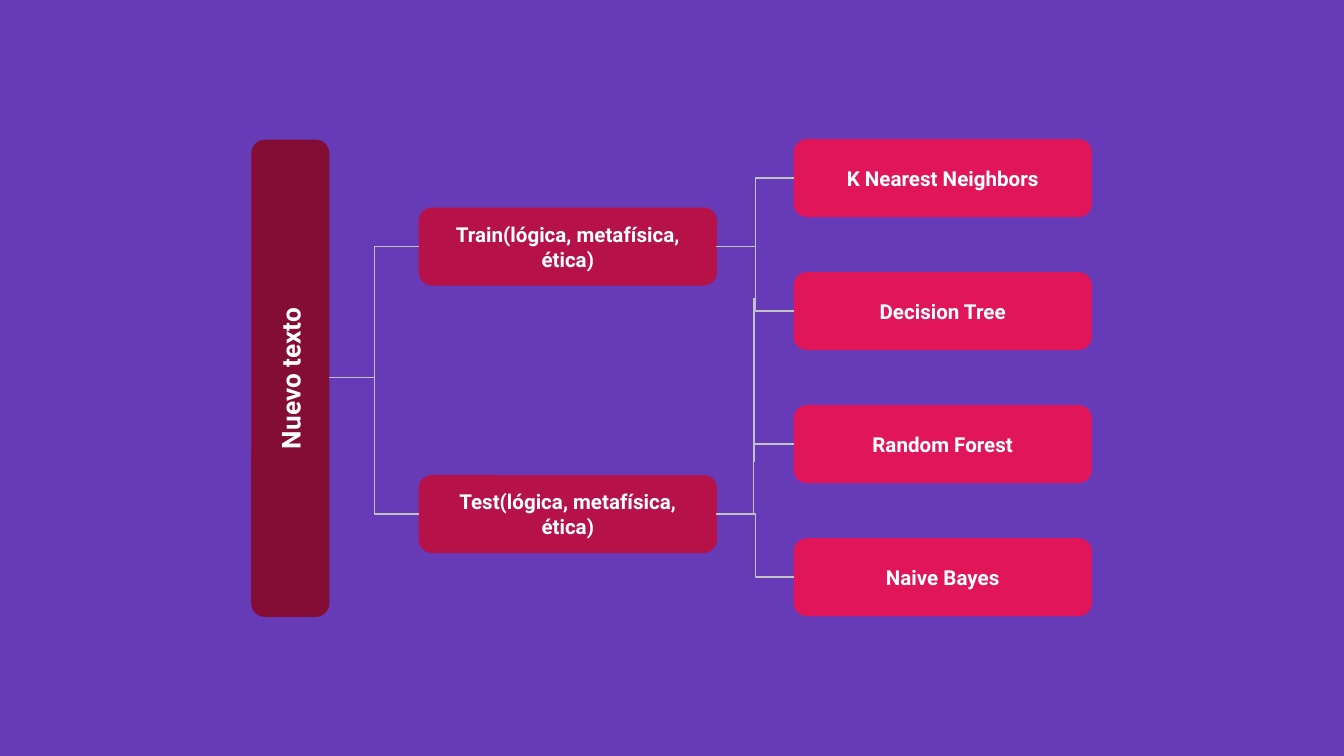
from dataclasses import dataclass

from lxml.etree import SubElement
from pptx import Presentation
from pptx.dml.color import RGBColor
from pptx.enum.shapes import MSO_CONNECTOR, MSO_SHAPE
from pptx.enum.text import MSO_ANCHOR, PP_ALIGN
from pptx.oxml.ns import qn
from pptx.util import Inches, Pt


@dataclass(frozen=True)
class Theme:
    """Colours, font and sizes of the tree."""

    background: str = "673AB7"
    root: str = "840D35"
    branch: str = "B61249"
    leaf: str = "E1165A"
    text: str = "FFFFFF"
    connector: str = "C2C2C2"
    font: str = "Roboto"
    root_size: int = 14
    node_size: int = 11
    line_width: float = 0.75


THEME = Theme()
PAGE_WIDTH = 10
PAGE_HEIGHT = PAGE_WIDTH * 9 / 16
NODE_WIDTH, NODE_HEIGHT = 2.21, 0.57
RIGHT_SIDE, LEFT_SIDE = 3, 1
ROOT_EXIT = (2.45, 2.81)
BRANCH_LEFT, BRANCH_TOP, BRANCH_STEP = 3.12, 1.55, 1.99
LEAF_LEFT, LEAF_TOP, LEAF_STEP = 5.91, 1.04, 0.99
TREE = {
    "Train(lógica, metafísica, ética)": ["K Nearest Neighbors", "Decision Tree"],
    "Test(lógica, metafísica, ética)": ["Random Forest", "Naive Bayes"],
}
LEAF_BENDS = {"Random Forest": 0.48}


def add_node(page, text, left, top, color, width=NODE_WIDTH, size=THEME.node_size):
    """Add a rounded box with bold centred text."""
    box = page.shapes.add_shape(
        MSO_SHAPE.ROUNDED_RECTANGLE,
        Inches(left), Inches(top), Inches(width), Inches(NODE_HEIGHT),
    )
    box.adjustments[0] = 0.167
    box.shadow.inherit = False
    box.fill.solid()
    box.fill.fore_color.rgb = RGBColor.from_string(color)
    box.line.color.rgb = RGBColor.from_string(color)
    box.line.width = Pt(THEME.line_width)
    frame = box.text_frame
    frame.word_wrap = True
    frame.vertical_anchor = MSO_ANCHOR.MIDDLE
    frame.margin_left = frame.margin_right = Inches(0.1)
    frame.margin_top = frame.margin_bottom = Inches(0.1)
    para = frame.paragraphs[0]
    para.text = text
    para.alignment = PP_ALIGN.CENTER
    para.font.name = THEME.font
    para.font.size = Pt(size)
    para.font.bold = True
    para.font.color.rgb = RGBColor.from_string(THEME.text)
    return box


def add_line(page, kind, start=(0, 0), end=(0, 0)):
    """Add a thin connector without a shadow."""
    points = [Inches(value) for value in (*start, *end)]
    connector = page.shapes.add_connector(kind, *points)
    connector.line.color.rgb = RGBColor.from_string(THEME.connector)
    connector.line.width = Pt(THEME.line_width)
    SubElement(connector._element.spPr, qn("a:effectLst"))
    return connector


def set_bend(connector, share):
    """Place the bend of an elbow at a share of its width."""
    geometry = connector._element.spPr.find(qn("a:prstGeom"))
    values = geometry.find(qn("a:avLst"))
    if values is None:
        values = SubElement(geometry, qn("a:avLst"))
    SubElement(values, qn("a:gd"), name="adj1", fmla=f"val {round(share * 100000)}")


def add_branch(page, text, index):
    """Add a branch box joined to the root."""
    top = BRANCH_TOP + index * BRANCH_STEP
    branch = add_node(page, text, BRANCH_LEFT, top, THEME.branch)
    elbow = add_line(page, MSO_CONNECTOR.ELBOW, ROOT_EXIT, ROOT_EXIT)
    elbow.end_connect(branch, LEFT_SIDE)
    return branch


def add_leaf(page, text, index, branch):
    """Add a leaf box joined to its branch."""
    leaf = add_node(page, text, LEAF_LEFT, LEAF_TOP + index * LEAF_STEP, THEME.leaf)
    elbow = add_line(page, MSO_CONNECTOR.ELBOW)
    elbow.begin_connect(branch, RIGHT_SIDE)
    elbow.end_connect(leaf, LEFT_SIDE)
    set_bend(elbow, LEAF_BENDS.get(text, 0.5))


def main():
    """Build the tree slide and save it."""
    deck = Presentation()
    deck.slide_width, deck.slide_height = Inches(PAGE_WIDTH), Inches(PAGE_HEIGHT)
    page = deck.slides.add_slide(deck.slide_layouts[6])
    page.background.fill.solid()
    page.background.fill.fore_color.rgb = RGBColor.from_string(THEME.background)

    root = add_node(page, "Nuevo texto", 0.39, 2.53, THEME.root, 3.54, THEME.root_size)
    root.rotation = 270
    leaf_index = 0
    for branch_index, (branch_text, leaves) in enumerate(TREE.items()):
        branch = add_branch(page, branch_text, branch_index)
        for leaf_text in leaves:
            add_leaf(page, leaf_text, leaf_index, branch)
            leaf_index += 1
    add_line(page, MSO_CONNECTOR.STRAIGHT, (5.61, 2.22), (5.61, 3.44))
    deck.save("out.pptx")


if __name__ == "__main__":
    main()
